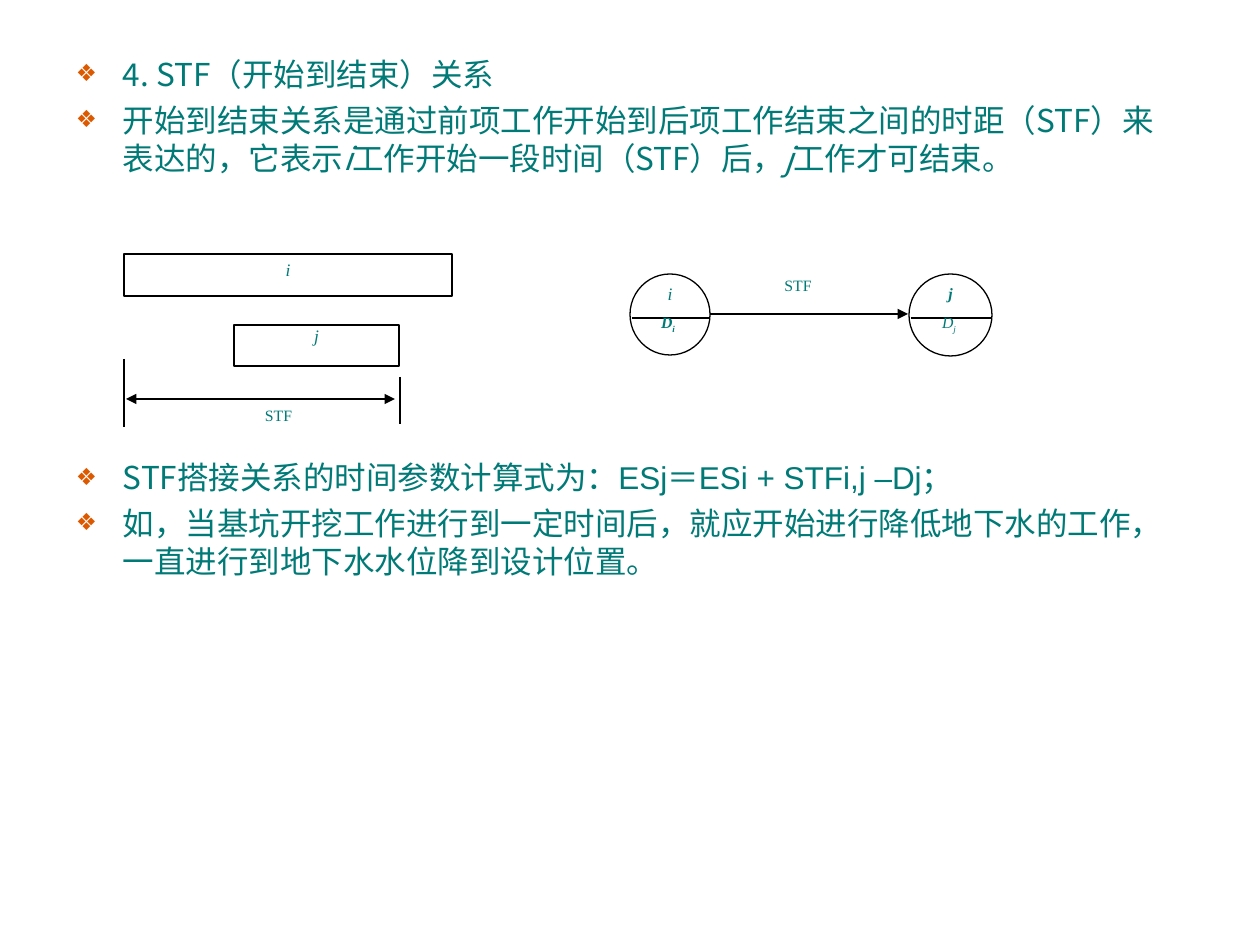
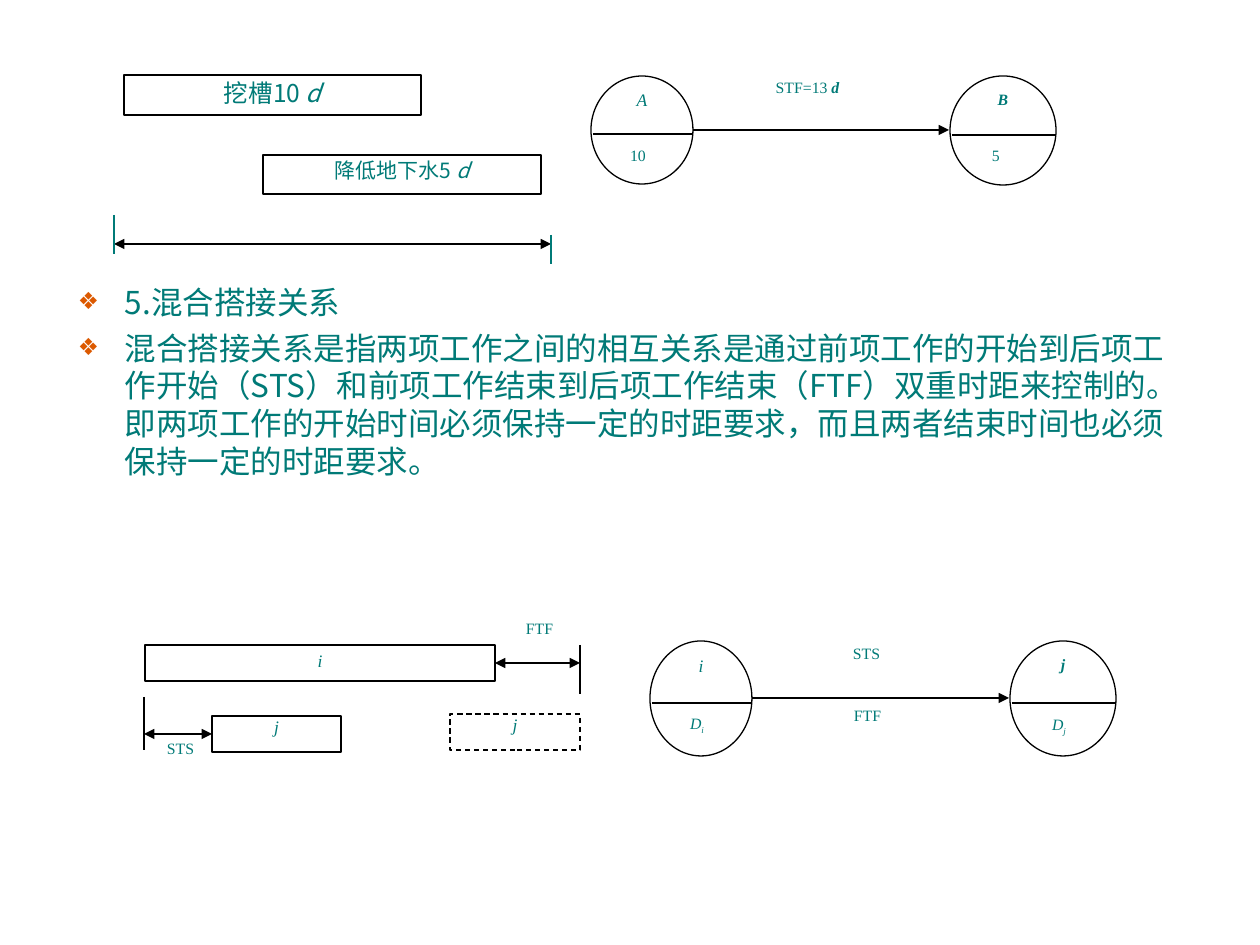
from dataclasses import dataclass
from typing import Optional

from lxml.etree import SubElement
from pptx import Presentation
from pptx.dml.color import RGBColor
from pptx.enum.dml import MSO_LINE
from pptx.enum.shapes import MSO_CONNECTOR, MSO_SHAPE
from pptx.enum.text import MSO_ANCHOR, MSO_AUTO_SIZE, PP_ALIGN
from pptx.oxml.ns import qn
from pptx.util import Emu, Pt

SCALE = 914400 / 126  # EMU in one px


@dataclass(frozen=True)
class Theme:
    teal: str = "007A77"
    orange: str = "DC5900"
    black: str = "000000"
    white: str = "FFFFFF"
    sans: str = "Noto Sans CJK SC"
    serif: str = "Times New Roman"
    latin: str = "Arial"
    body: float = 18
    task: float = 14
    small: float = 12
    name: float = 10
    note: float = 9
    rule: float = 0.75
    gap: float = 4.5
    lead: float = 1.2


THEME = Theme()


@dataclass(frozen=True)
class Run:
    text: str
    italic: bool = False
    bold: bool = False
    sub: bool = False
    font: Optional[str] = None


@dataclass(frozen=True)
class Item:
    runs: tuple[Run, ...]
    gap: float = THEME.gap


@dataclass(frozen=True)
class Box:
    x: int
    y: int
    w: int
    h: int


@dataclass(frozen=True)
class Bar:
    box: Box
    runs: tuple[Run, ...]
    top: int = 1
    size: float = THEME.name
    font: str = THEME.serif
    side: int = 13
    filled: bool = True
    dashed: bool = False


@dataclass(frozen=True)
class Line:
    x1: int
    y1: int
    x2: int
    y2: int
    color: str = THEME.black
    head: bool = False
    tail: bool = False


@dataclass(frozen=True)
class Node:
    box: Box
    name: Run
    size: float
    value: tuple[Run, ...]
    spot: tuple[int, int]  # left and top of the value


@dataclass(frozen=True)
class Label:
    box: Box
    runs: tuple[Run, ...]


# Basic helpers
def px(n: float) -> Emu:
    return Emu(round(n * SCALE))


def rgb(code: str) -> RGBColor:
    return RGBColor.from_string(code)


def frame(box: Box) -> tuple[Emu, Emu, Emu, Emu]:
    return px(box.x), px(box.y), px(box.w), px(box.h)


def write(par, text: str, *, size: float, font: str, italic: bool = False,
          bold: bool = False, sub: bool = False) -> None:
    run = par.add_run()
    run.text = text
    style = run.font
    style.size, style.name = Pt(size), font
    style.italic, style.bold = italic, bold
    style.color.rgb = rgb(THEME.teal)
    props = run._r.get_or_add_rPr()
    SubElement(props, qn("a:ea")).set("typeface", THEME.sans)
    if sub:
        props.set("baseline", "-25000")


def fill(par, runs: tuple[Run, ...], size: float, font: str) -> None:
    for run in runs:
        write(par, run.text, size=size, font=run.font or font,
              italic=run.italic, bold=run.bold, sub=run.sub)


def setup(text, side: int = 0, top: int = 0, low: int = 0) -> None:
    text.word_wrap = True
    text.auto_size = MSO_AUTO_SIZE.NONE
    text.vertical_anchor = MSO_ANCHOR.TOP
    text.margin_left = text.margin_right = px(side)
    text.margin_top, text.margin_bottom = px(top), px(low)


# Bulleted list in the body placeholder
def bullet(par) -> None:
    props = par._p.get_or_add_pPr()
    props.set("marL", str(px(47)))
    props.set("indent", str(-px(47)))
    color = SubElement(props, qn("a:buClr"))
    SubElement(color, qn("a:srgbClr")).set("val", THEME.orange)
    SubElement(props, qn("a:buSzPct")).set("val", "75000")
    SubElement(props, qn("a:buChar")).set("char", "❖")


def add_list(slide, box: Box, items: list[Item]) -> None:
    body = slide.placeholders[1]
    body.left, body.top, body.width, body.height = frame(box)
    text = body.text_frame
    setup(text, side=13, top=6, low=6)
    for i, item in enumerate(items):
        par = text.add_paragraph() if i else text.paragraphs[0]
        bullet(par)
        par.alignment = PP_ALIGN.LEFT
        par.line_spacing = Pt(THEME.body * THEME.lead)
        par.space_before = Pt(item.gap if i else 0)
        fill(par, item.runs, THEME.body, THEME.sans)


# Diagram parts
def add_form(slide, kind: MSO_SHAPE, box: Box, filled: bool):
    shape = slide.shapes.add_shape(kind, *frame(box))
    shape.shadow.inherit = False
    if filled:
        shape.fill.solid()
        shape.fill.fore_color.rgb = rgb(THEME.white)
    else:
        shape.fill.background()
    shape.line.color.rgb = rgb(THEME.black)
    shape.line.width = Pt(THEME.rule)
    return shape


def add_bar(slide, bar: Bar):
    shape = add_form(slide, MSO_SHAPE.RECTANGLE, bar.box, bar.filled)
    if bar.dashed:
        shape.line.dash_style = MSO_LINE.DASH
    setup(shape.text_frame, side=bar.side, top=bar.top, low=1)
    par = shape.text_frame.paragraphs[0]
    par.alignment = PP_ALIGN.CENTER
    serif = bar.font == THEME.serif
    par.line_spacing = 0.96 if serif else Pt(bar.size * THEME.lead)
    fill(par, bar.runs, bar.size, bar.font)
    return shape


def add_line(slide, line: Line):
    link = slide.shapes.add_connector(
        MSO_CONNECTOR.STRAIGHT, px(line.x1), px(line.y1), px(line.x2), px(line.y2))
    link.line.color.rgb = rgb(line.color)
    link.line.width = Pt(THEME.rule)
    stroke = link.line._get_or_add_ln()
    for tag, shown in (("a:headEnd", line.head), ("a:tailEnd", line.tail)):
        if shown:
            SubElement(stroke, qn(tag)).set("type", "triangle")
    SubElement(link._element.spPr, qn("a:effectLst"))
    return link


def add_label(slide, label: Label, align: PP_ALIGN = PP_ALIGN.CENTER) -> None:
    text = slide.shapes.add_textbox(*frame(label.box)).text_frame
    setup(text)
    par = text.paragraphs[0]
    par.alignment = align
    fill(par, label.runs, THEME.note, THEME.serif)


def add_node(slide, node: Node) -> None:
    box = node.box
    shape = add_form(slide, MSO_SHAPE.OVAL, box, False)
    setup(shape.text_frame, top=1, low=1)
    par = shape.text_frame.paragraphs[0]
    par.alignment, par.line_spacing = PP_ALIGN.CENTER, 0.8
    fill(par, (node.name,), node.size, THEME.serif)
    mid = box.y + round(box.h * 0.54)
    add_line(slide, Line(box.x + 2, mid, box.x + box.w - 1, mid))
    add_label(slide, Label(Box(*node.spot, 42, 30), node.value), PP_ALIGN.LEFT)


def add_net(slide, first: Node, last: Node, labels: list[Label]) -> None:
    add_node(slide, first)
    add_node(slide, last)
    a, b = first.box, last.box
    mid = a.y + a.h // 2
    add_line(slide, Line(a.x + a.w, mid, b.x - 1, mid, tail=True))
    for label in labels:
        add_label(slide, label)


# Wording used more than once
I, J = Run("i", italic=True), Run("j", italic=True)
BOLD_J = Run("j", italic=True, bold=True)
DAY = Run("d", italic=True)
STF, STS, FTF = (Run(word) for word in ("STF", "STS", "FTF"))


def length(index: str, bold: bool = False) -> tuple[Run, ...]:
    return (Run("D", italic=True, bold=bold),
            Run(index, italic=True, bold=bold, sub=True))


def new_slide(deck):
    slide = deck.slides.add_slide(deck.slide_layouts[1])
    title = slide.shapes.title._element
    title.getparent().remove(title)
    return slide


def start_finish(deck) -> None:
    slide = new_slide(deck)
    add_list(slide, Box(63, 49, 1134, 795), [
        Item((Run("4. STF（开始到结束）关系"),)),
        Item((Run("开始到结束关系是通过前项工作开始到后项工作结束之间的时距（STF）来表达的，它表示"),
              I, Run("工作开始一段时间（STF）后，"), J, Run("工作才可结束。"))),
        Item((Run("STF搭接关系的时间参数计算式为："),
              Run("ESj＝ESi + STFi,j –Dj；", font=THEME.latin)), gap=161),
        Item((Run("如，当基坑开挖工作进行到一定时间后，就应开始进行降低地下水的工作，"
                  "一直进行到地下水水位降到设计位置。"),)),
    ])
    # Bars and the span between them
    add_bar(slide, Bar(Box(124, 254, 328, 42), (I,), top=6))
    add_bar(slide, Bar(Box(234, 325, 165, 41), (J,)))
    add_line(slide, Line(124, 359, 124, 427))
    add_line(slide, Line(400, 377, 400, 424))
    add_line(slide, Line(126, 399, 395, 399, head=True, tail=True))
    add_label(slide, Label(Box(227, 406, 103, 36), (STF,)))
    # Network
    add_net(slide,
            Node(Box(630, 274, 80, 81), I, THEME.name, length("i", True), (661, 313)),
            Node(Box(909, 274, 83, 82), BOLD_J, THEME.note, length("j"), (942, 313)),
            [Label(Box(747, 276, 102, 39), (STF,))])


def mixed(deck) -> None:
    slide = new_slide(deck)
    add_list(slide, Box(65, 277, 1134, 541), [
        Item((Run("5.混合搭接关系"),)),
        Item((Run("混合搭接关系是指两项工作之间的相互关系是通过前项工作的开始到后项工作开始（STS）"
                  "和前项工作结束到后项工作结束（FTF）双重时距来控制的。即两项工作的开始时间"
                  "必须保持一定的时距要求，而且两者结束时间也必须保持一定的时距要求。"),)),
    ])
    # Worked example: bars and span
    for box, task, size in ((Box(124, 75, 297, 40), "挖槽10 ", THEME.task),
                            (Box(263, 155, 278, 39), "降低地下水5 ", THEME.small)):
        add_bar(slide, Bar(box, (Run(task), DAY), top=3, size=size,
                           font=THEME.sans, side=0, filled=False))
    add_line(slide, Line(114, 244, 551, 244, head=True, tail=True))
    add_line(slide, Line(114, 215, 114, 254, color=THEME.teal))
    add_line(slide, Line(551, 235, 551, 264, color=THEME.teal))
    # Worked example: network
    add_net(slide,
            Node(Box(591, 76, 102, 108), Run("A", italic=True), THEME.name,
                 (Run("10"),), (630, 146)),
            Node(Box(950, 76, 106, 109), Run("B", italic=True, bold=True), THEME.note,
                 (Run("5"),), (992, 146)),
            [Label(Box(742, 78, 131, 52),
                   (Run("STF=13 "), Run("d", italic=True, bold=True)))])
    # Mixed relation: bars and spans
    first = add_bar(slide, Bar(Box(145, 645, 350, 36), (I,), top=6))
    start = add_bar(slide, Bar(Box(212, 716, 129, 36), (J,)))
    add_bar(slide, Bar(Box(450, 714, 130, 36), (J,), dashed=True))
    add_line(slide, Line(144, 697, 144, 750))
    add_line(slide, Line(580, 645, 580, 694))
    lag = add_line(slide, Line(144, 734, 212, 734, head=True, tail=True))
    lag.end_connect(start, 1)
    end = add_line(slide, Line(495, 663, 580, 663, head=True, tail=True))
    end.begin_connect(first, 3)
    add_label(slide, Label(Box(140, 739, 81, 32), (STS,)))
    add_label(slide, Label(Box(499, 619, 81, 32), (FTF,)))
    # Mixed relation: network
    add_net(slide,
            Node(Box(650, 641, 102, 115), I, THEME.name, length("i"), (690, 714)),
            Node(Box(1010, 641, 106, 115), BOLD_J, THEME.note, length("j"), (1052, 715)),
            [Label(Box(801, 644, 131, 54), (STS,)),
             Label(Box(802, 706, 131, 54), (FTF,))])


def main() -> None:
    deck = Presentation()
    deck.slide_width, deck.slide_height = px(1260), px(945)
    start_finish(deck)
    mixed(deck)
    deck.save("out.pptx")


if __name__ == "__main__":
    main()
